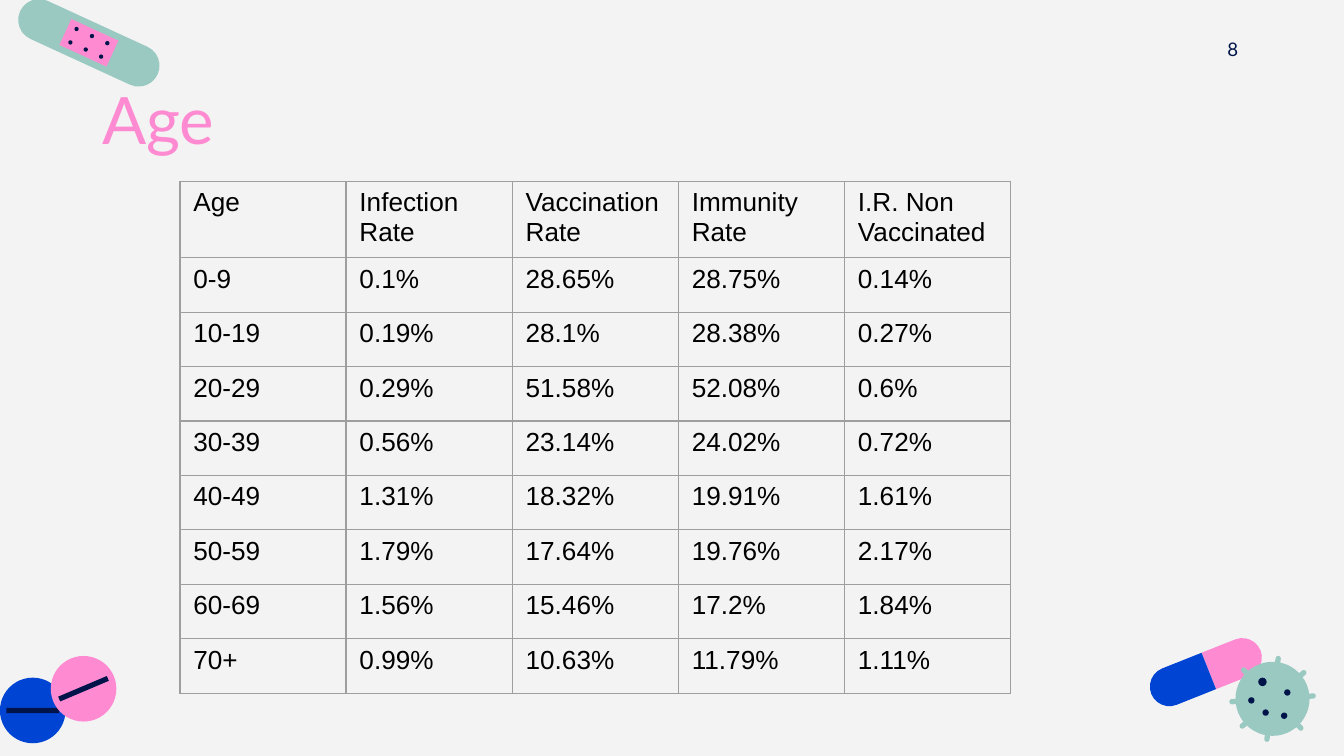
from math import cos, radians, sin

from lxml import etree
from pptx import Presentation
from pptx.dml.color import RGBColor
from pptx.enum.shapes import MSO_SHAPE
from pptx.enum.text import MSO_ANCHOR, PP_ALIGN
from pptx.oxml.ns import qn
from pptx.util import Cm, Pt

BACKGROUND = RGBColor(0xF3, 0xF3, 0xF3)
PINK = RGBColor(0xFE, 0x8B, 0xD1)
NAVY = RGBColor(0x00, 0x14, 0x4A)
BLUE = RGBColor(0x00, 0x44, 0xD3)
MINT = RGBColor(0x9A, 0xC9, 0xC2)
BLACK = RGBColor(0x00, 0x00, 0x00)
GRID = RGBColor(0x9E, 0x9E, 0x9E)

OVAL = MSO_SHAPE.OVAL
RECT = MSO_SHAPE.RECTANGLE
ROUNDED = MSO_SHAPE.ROUNDED_RECTANGLE
HALF_CAPSULE = MSO_SHAPE.ROUND_2_SAME_RECTANGLE
TOP, MIDDLE = MSO_ANCHOR.TOP, MSO_ANCHOR.MIDDLE
LEFT, RIGHT = PP_ALIGN.LEFT, PP_ALIGN.RIGHT

ROWS = [
    ("Age", "Infection Rate", "Vaccination Rate", "Immunity Rate", "I.R. Non Vaccinated"),
    ("0-9", "0.1%", "28.65%", "28.75%", "0.14%"),
    ("10-19", "0.19%", "28.1%", "28.38%", "0.27%"),
    ("20-29", "0.29%", "51.58%", "52.08%", "0.6%"),
    ("30-39", "0.56%", "23.14%", "24.02%", "0.72%"),
    ("40-49", "1.31%", "18.32%", "19.91%", "1.61%"),
    ("50-59", "1.79%", "17.64%", "19.76%", "2.17%"),
    ("60-69", "1.56%", "15.46%", "17.2%", "1.84%"),
    ("70+", "0.99%", "10.63%", "11.79%", "1.11%"),
]


def style(p, font, size, color, align=LEFT):
    p.alignment = align
    p.font.name = font
    p.font.size = Pt(size)
    p.font.color.rgb = color


def centre(box):
    x, y, w, h = box
    return x + w / 2, y + h / 2


def polar(origin, distance, angle):
    """Point at a distance and clockwise angle from the origin."""
    a = radians(angle)
    return origin[0] + distance * cos(a), origin[1] + distance * sin(a)


def add_part(s, kind, mid, w, h, color, angle=0):
    """Flat shape centred on a point, in centimetres."""
    sp = s.shapes.add_shape(kind, Cm(mid[0] - w / 2), Cm(mid[1] - h / 2), Cm(w), Cm(h))
    sp.rotation = angle % 360
    sp.shadow.inherit = False
    sp.fill.solid()
    sp.fill.fore_color.rgb = color
    sp.line.fill.background()
    if kind in (ROUNDED, HALF_CAPSULE):
        sp.adjustments[0] = 0.5
    return sp


def add_label(s, box, text, size, color, align, anchor):
    tf = s.shapes.add_textbox(*map(Cm, box)).text_frame
    tf.word_wrap = True
    tf.vertical_anchor = anchor
    tf.margin_left = tf.margin_right = tf.margin_top = tf.margin_bottom = Cm(0.25)
    p = tf.paragraphs[0]
    p.text = text
    style(p, "Lato", size, color, align)


def add_bandage(s, box):
    mid, tilt = centre(box), 24.7
    add_part(s, ROUNDED, mid, 2.86, 0.79, MINT, tilt)
    add_part(s, RECT, mid, 0.98, 0.54, PINK, tilt)
    # Two rows of three holes, along the tilt
    for along in (-0.32, 0, 0.32):
        for across in (-0.14, 0.14):
            hole = polar(polar(mid, along, tilt), across, tilt + 90)
            add_part(s, OVAL, hole, 0.08, 0.08, NAVY)


def add_capsule(s, box):
    mid, tilt, length, split = centre(box), -21.7, 2.22, 0.06
    # Each half runs from the split to its own round end
    for color, side in ((PINK, 1), (BLUE, -1)):
        half = length / 2 - side * split
        at = polar(mid, split + side * half / 2, tilt)
        add_part(s, HALF_CAPSULE, at, 0.74, half, color, tilt + side * 90)


def add_tablets(s, box):
    x, y, w, h = box
    r = 0.62
    for color, mid, tilt in ((BLUE, (x + r, y + h - r), 0),
                             (PINK, (x + w - r, y + r), -23)):
        add_part(s, OVAL, mid, 2 * r, 2 * r, color)
        add_part(s, RECT, mid, 1, 0.1, NAVY, tilt)


def add_virus(s, box):
    mid = centre(box)
    # Spikes, then the body over their roots
    for angle in (-82, -40, -4, 46, 98, 138, 176, 225):
        add_part(s, ROUNDED, polar(mid, 0.69, angle), 0.26, 0.1, MINT, angle)
    add_part(s, OVAL, mid, 1.4, 1.4, MINT)
    for dx, dy, d in ((0.28, -0.12, 0.12), (-0.19, -0.32, 0.16), (-0.13, 0.26, 0.12),
                      (0.22, 0.32, 0.12), (-0.4, 0.03, 0.12)):
        add_part(s, OVAL, (mid[0] + dx, mid[1] + dy), d, d, NAVY)


def add_borders(cell):
    tc_pr = cell._tc.get_or_add_tcPr()
    for side in ("lnL", "lnR", "lnT", "lnB"):
        ln = etree.SubElement(tc_pr, qn(f"a:{side}"), w=str(Pt(0.75)))
        fill = etree.SubElement(ln, qn("a:solidFill"))
        etree.SubElement(fill, qn("a:srgbClr"), val=str(GRID))


def add_rate_table(s, box):
    x, y, w, h = box
    header_h = 1.37
    table = s.shapes.add_table(len(ROWS), len(ROWS[0]), *map(Cm, box)).table
    table.first_row = table.horz_banding = False
    for col in table.columns:
        col.width = Cm(w / len(ROWS[0]))
    for i, row in enumerate(table.rows):
        row.height = Cm((h - header_h) / (len(ROWS) - 1) if i else header_h)
        for cell, text in zip(row.cells, ROWS[i]):
            add_borders(cell)
            cell.fill.background()
            cell.text = text
            style(cell.text_frame.paragraphs[0], "Arial", 14, BLACK)


def main():
    prs = Presentation()
    prs.slide_width, prs.slide_height = Cm(25.4), Cm(14.29)
    s = prs.slides.add_slide(prs.slide_layouts[6])
    s.background.fill.solid()
    s.background.fill.fore_color.rgb = BACKGROUND

    # Title and page number
    add_label(s, (1.68, 1.24, 21.41, 1.6), "Age", 35, PINK, LEFT, TOP)
    add_label(s, (22.25, 0.38, 1.4, 1.09), "8", 10, NAVY, RIGHT, MIDDLE)

    # Corner drawings
    add_bandage(s, (0.39, 0, 2.58, 1.62))
    add_capsule(s, (21.73, 12.07, 2.12, 1.27))
    add_tablets(s, (0, 12.4, 2.2, 1.65))
    add_virus(s, (23.27, 12.43, 1.56, 1.56))

    add_rate_table(s, (3.4, 3.43, 15.7, 9.61))
    prs.save("out.pptx")


if __name__ == "__main__":
    main()
